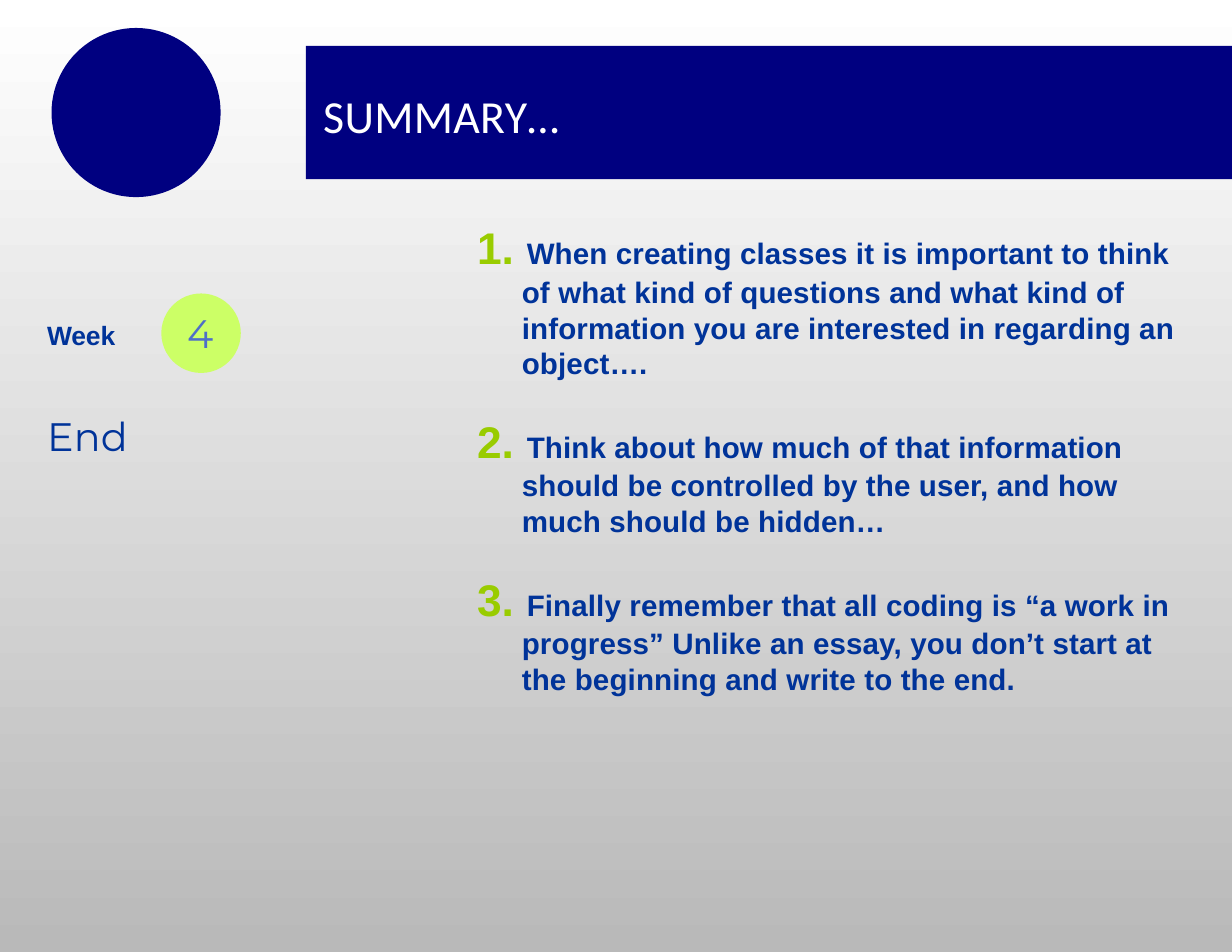
from pptx import Presentation
from pptx.dml.color import RGBColor
from pptx.enum.shapes import MSO_SHAPE
from pptx.enum.text import MSO_ANCHOR, MSO_AUTO_SIZE, PP_ALIGN
from pptx.util import Inches, Pt

NAVY = RGBColor(0x00, 0x00, 0x80)
BLUE = RGBColor(0x00, 0x33, 0x99)
SOFT_BLUE = RGBColor(0x4E, 0x6E, 0xC8)
LIME = RGBColor(0xCC, 0xFF, 0x66)
GREEN = RGBColor(0x99, 0xCC, 0x00)
WHITE = RGBColor(0xFF, 0xFF, 0xFF)
GREY = RGBColor(0xB9, 0xB9, 0xB9)

TITLE = dict(name="Calibri", size=29.5, color=WHITE, spacing=0.2)
WEEK = dict(name="Arial", size=17, color=BLUE, bold=True, spacing=-0.1)
WEEK_NUMBER = dict(name="Montserrat", size=25.5, color=SOFT_BLUE, spacing=0.1)
SECTION = dict(WEEK_NUMBER, color=BLUE)
POINT = dict(name="Arial", size=19, color=BLUE, bold=True, spacing=0.1)
POINT_NUMBER = dict(POINT, size=28.5, color=GREEN)

LINE_PITCH = 0.32
POINT_GAP = 0.42
# Each point with the number of lines it fills
POINTS = [
    ("When creating classes it is important to think of what kind of questions "
     "and what kind of information you are interested in regarding an object….", 4),
    ("Think about how much of that information should be controlled by the user, "
     "and how much should be hidden…", 3),
    ("Finally remember that all coding is “a work in progress” Unlike an essay, "
     "you don’t start at the beginning and write to the end.", 3),
]


def add_run(paragraph, text, style):
    run = paragraph.add_run()
    run.text = text
    for key, value in style.items():
        if key == "color":
            run.font.color.rgb = value
        elif key == "spacing":
            run._r.get_or_add_rPr().set("spc", str(round(value * 100)))
        else:
            setattr(run.font, key, Pt(value) if key == "size" else value)


def set_frame(frame, top_inset=0.0, anchor=MSO_ANCHOR.TOP):
    settings = dict(margin_left=0, margin_right=0, margin_bottom=0,
                    margin_top=Inches(top_inset), word_wrap=True,
                    auto_size=MSO_AUTO_SIZE.NONE, vertical_anchor=anchor)
    for key, value in settings.items():
        setattr(frame, key, value)
    return frame.paragraphs[0]


def add_label(slide, left, top, width, height, text, style):
    label = slide.shapes.add_textbox(*map(Inches, (left, top, width, height)))
    add_run(set_frame(label.text_frame, 0.03), text, style)


def add_plain_shape(slide, kind, left, top, width, height, color):
    shape = slide.shapes.add_shape(kind, *map(Inches, (left, top, width, height)))
    shape.shadow.inherit = False
    shape.fill.solid()
    shape.fill.fore_color.rgb = color
    shape.line.fill.background()


def add_header(slide, left, top, width, height):
    # Disc and band, centred near the same height
    add_plain_shape(slide, MSO_SHAPE.OVAL, left, top, height, height, NAVY)
    add_plain_shape(slide, MSO_SHAPE.RECTANGLE, left + 2.27, top + 0.16,
                    width - 2.27, 1.19, NAVY)
    # Title, brought in front of the band
    title = slide.shapes.title
    slide.shapes._spTree.append(title._element)
    title.left, title.top = Inches(left + 2.31), Inches(top + 0.49)
    title.width, title.height = Inches(2.34), Inches(0.53)
    heading = set_frame(title.text_frame, 0.04, MSO_ANCHOR.MIDDLE)
    heading.alignment = PP_ALIGN.CENTER
    add_run(heading, "SUMMARY…", TITLE)


def add_week_panel(slide, left, top):
    add_label(slide, left + 0.01, top + 0.2, 0.66, 0.31, "Week", WEEK)
    add_plain_shape(slide, MSO_SHAPE.OVAL, left + 1.03, top, 0.71, 0.71, LIME)
    add_label(slide, left + 1.26, top + 0.11, 0.3, 0.45, "4", WEEK_NUMBER)
    add_label(slide, left + 0.01, top + 1.03, 0.8, 0.45, "End", SECTION)


def add_points(slide, left, top, width):
    for number, (text, lines) in enumerate(POINTS, 1):
        height = lines * LINE_PITCH + 0.03
        point = slide.shapes.add_textbox(*map(Inches, (left, top, width, height)))
        paragraph = set_frame(point.text_frame, 0.03)
        paragraph.line_spacing = Pt(LINE_PITCH * 72)
        # Hanging indent
        properties = paragraph._p.get_or_add_pPr()
        properties.set("marL", str(Inches(0.41)))
        properties.set("indent", str(Inches(-0.4)))
        add_run(paragraph, f"{number}. ", POINT_NUMBER)
        add_run(paragraph, text, POINT)
        top += height + POINT_GAP


def add_background(slide):
    fill = slide.background.fill
    fill.gradient()
    fill.gradient_angle = 270
    for stop, color in zip(fill.gradient_stops, (WHITE, GREY)):
        stop.color.rgb = color


presentation = Presentation()
presentation.slide_width, presentation.slide_height = Inches(11), Inches(8.5)
summary = presentation.slides.add_slide(presentation.slide_layouts[5])
add_background(summary)
add_header(summary, 0.46, 0.25, 10.79, 1.51)
add_week_panel(summary, 0.41, 2.62)
add_points(summary, 4.25, 2.09, 6.3)
presentation.save("out.pptx")
